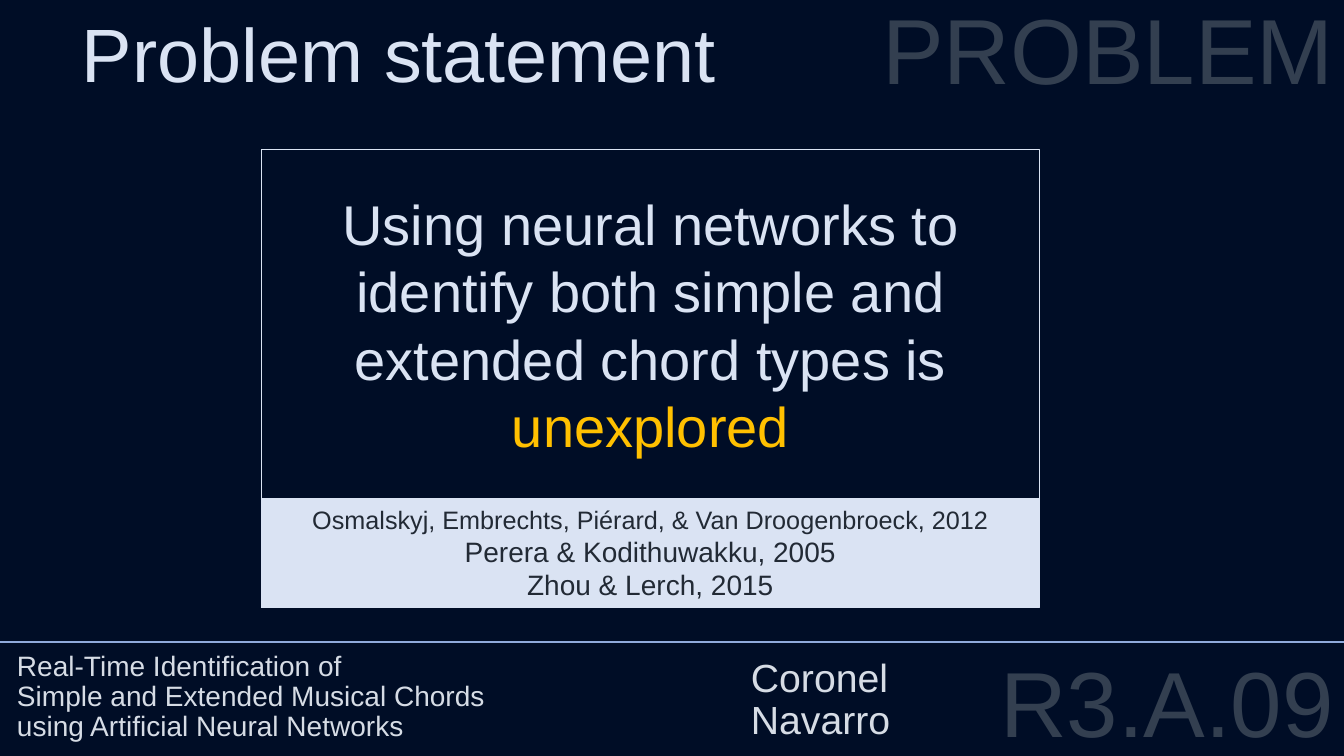
from pptx import Presentation
from pptx.dml.color import RGBColor
from pptx.enum.shapes import MSO_CONNECTOR, MSO_SHAPE
from pptx.enum.text import MSO_ANCHOR, PP_ALIGN
from pptx.oxml.ns import qn
from pptx.util import Inches, Pt
from lxml import etree

LEFT, CENTER, RIGHT = PP_ALIGN.LEFT, PP_ALIGN.CENTER, PP_ALIGN.RIGHT
TOP, MIDDLE, BOTTOM = MSO_ANCHOR.TOP, MSO_ANCHOR.MIDDLE, MSO_ANCHOR.BOTTOM
NAVY = RGBColor(0x00, 0x0D, 0x26)
SLATE = RGBColor(0x33, 0x3F, 0x50)
INK = RGBColor(0x22, 0x2A, 0x35)
PALE_BLUE = RGBColor(0xDA, 0xE3, 0xF3)
PALE_GREY = RGBColor(0xD6, 0xDC, 0xE5)
RULE_BLUE = RGBColor(0x8F, 0xAA, 0xDC)
GOLD = RGBColor(0xFF, 0xC0, 0x00)


def write(shape, text, size, color, align=LEFT, anchor=TOP, line_spacing=1.0, space_before=0):
    """Fill a shape with text, one paragraph per line, in a single style."""
    frame = shape.text_frame
    frame.text = text
    frame.word_wrap = True
    frame.vertical_anchor = anchor
    for para in frame.paragraphs:
        para.alignment = align
        para.line_spacing = line_spacing
        para.space_before = Pt(space_before)
        for span in para.runs:
            span.font.name = "Arial"
            span.font.size = Pt(size)
            span.font.color.rgb = color


def add_panel(top, height):
    """Add a pale-outlined rectangle in the central column."""
    panel = page.shapes.add_shape(
        MSO_SHAPE.RECTANGLE, Inches(2.59), Inches(top), Inches(7.72), Inches(height))
    panel.shadow.inherit = False
    panel.line.color.rgb = PALE_BLUE
    panel.line.width = Pt(0.75)
    return panel


deck = Presentation()
deck.slide_width = Inches(13.33)
deck.slide_height = Inches(7.5)
page = deck.slides.add_slide(deck.slide_layouts[5])
page.background.fill.solid()
page.background.fill.fore_color.rgb = NAVY

# Title
title = page.shapes.title
title.left, title.top = Inches(0.71), Inches(0.02)
title.width, title.height = Inches(8.35), Inches(1.01)
write(title, "Problem statement", 54, PALE_BLUE)

# Section label, slide code and footer texts
footer_topic = ("Real-Time Identification of\n"
                "Simple and Extended Musical Chords\n"
                "using Artificial Neural Networks")
labels = [
    # left, top, width, height, text, size, color, align, anchor, line spacing, space before
    (8.46, 6.56, 4.87, 1.04, "R3.A.09", 66, SLATE, RIGHT, TOP, 0.8, 10),
    (2.22, 0, 11.11, 3.58, "PROBLEM", 66, SLATE, RIGHT, TOP, 0.9, 10),
    (7.35, 4.43, 5.1, 2.99, "Coronel\nNavarro", 28, PALE_GREY, LEFT, BOTTOM, 0.9, 0),
    (0.07, 4.43, 7.28, 2.99, footer_topic, 20, PALE_GREY, LEFT, BOTTOM, 0.9, 0),
]
for left, top, width, height, *style in labels:
    box = page.shapes.add_textbox(Inches(left), Inches(top), Inches(width), Inches(height))
    write(box, *style)

# Footer rule
rule = page.shapes.add_connector(
    MSO_CONNECTOR.STRAIGHT, 0, Inches(6.37), deck.slide_width, Inches(6.37))
rule.line.color.rgb = RULE_BLUE
rule.line.width = Pt(1.5)
etree.SubElement(rule.line._get_or_add_ln().getparent(), qn("a:effectLst"))

# Statement and its sources
statement = add_panel(1.48, 3.47)
statement.fill.background()
write(statement, "Using neural networks to identify both simple and extended chord types is ",
      40, PALE_BLUE, CENTER, MIDDLE)
keyword = statement.text_frame.paragraphs[0].add_run()
keyword.text = "unexplored"
keyword.font.name = "Arial"
keyword.font.size = Pt(40)
keyword.font.color.rgb = GOLD

sources = add_panel(4.95, 1.08)
sources.fill.solid()
sources.fill.fore_color.rgb = PALE_BLUE
write(sources, "Osmalskyj, Embrechts, Piérard, & Van Droogenbroeck, 2012\n"
      "Perera & Kodithuwakku, 2005\nZhou & Lerch, 2015", 20, INK, CENTER)
sources.text_frame.paragraphs[0].runs[0].font.size = Pt(18)

deck.save("out.pptx")
